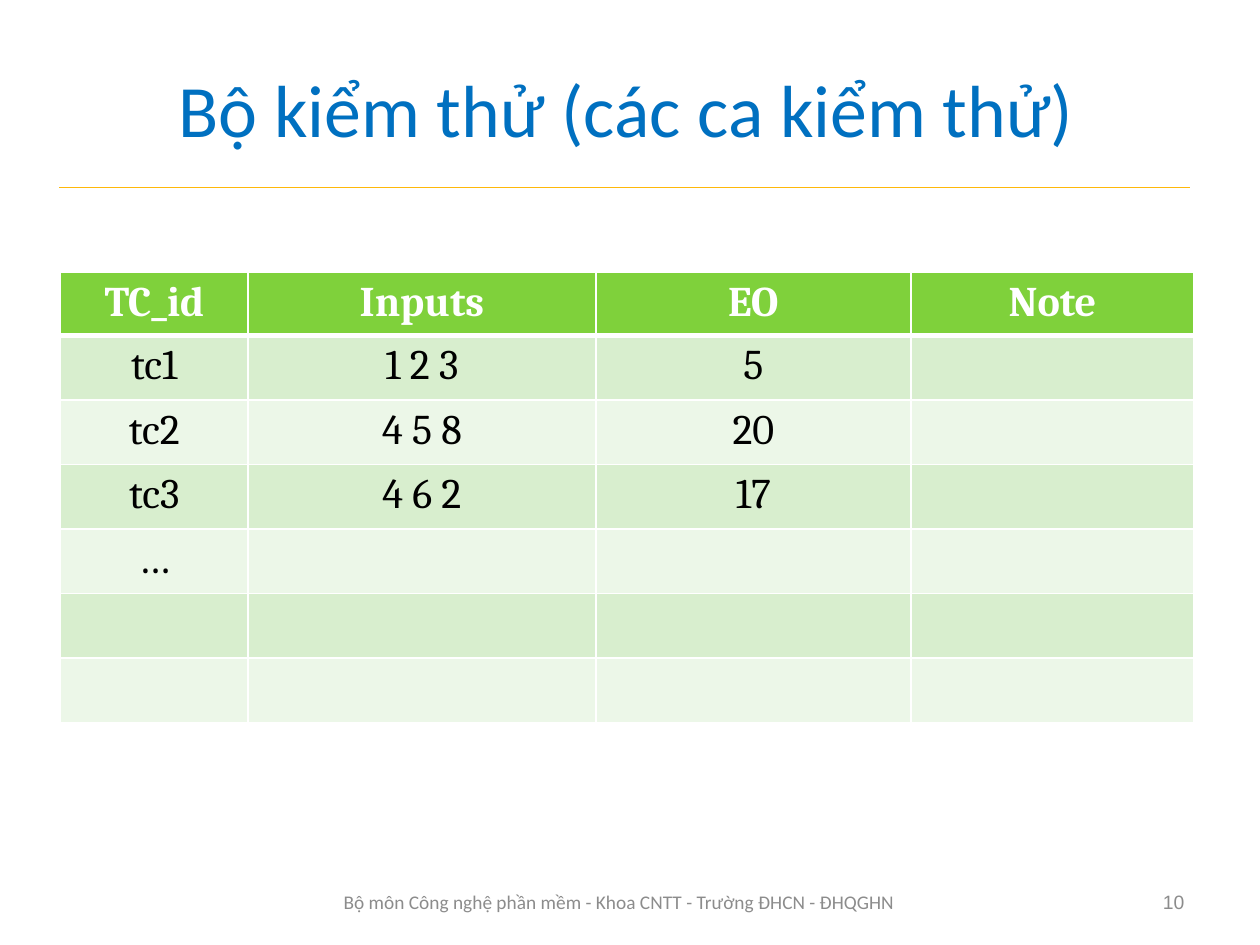
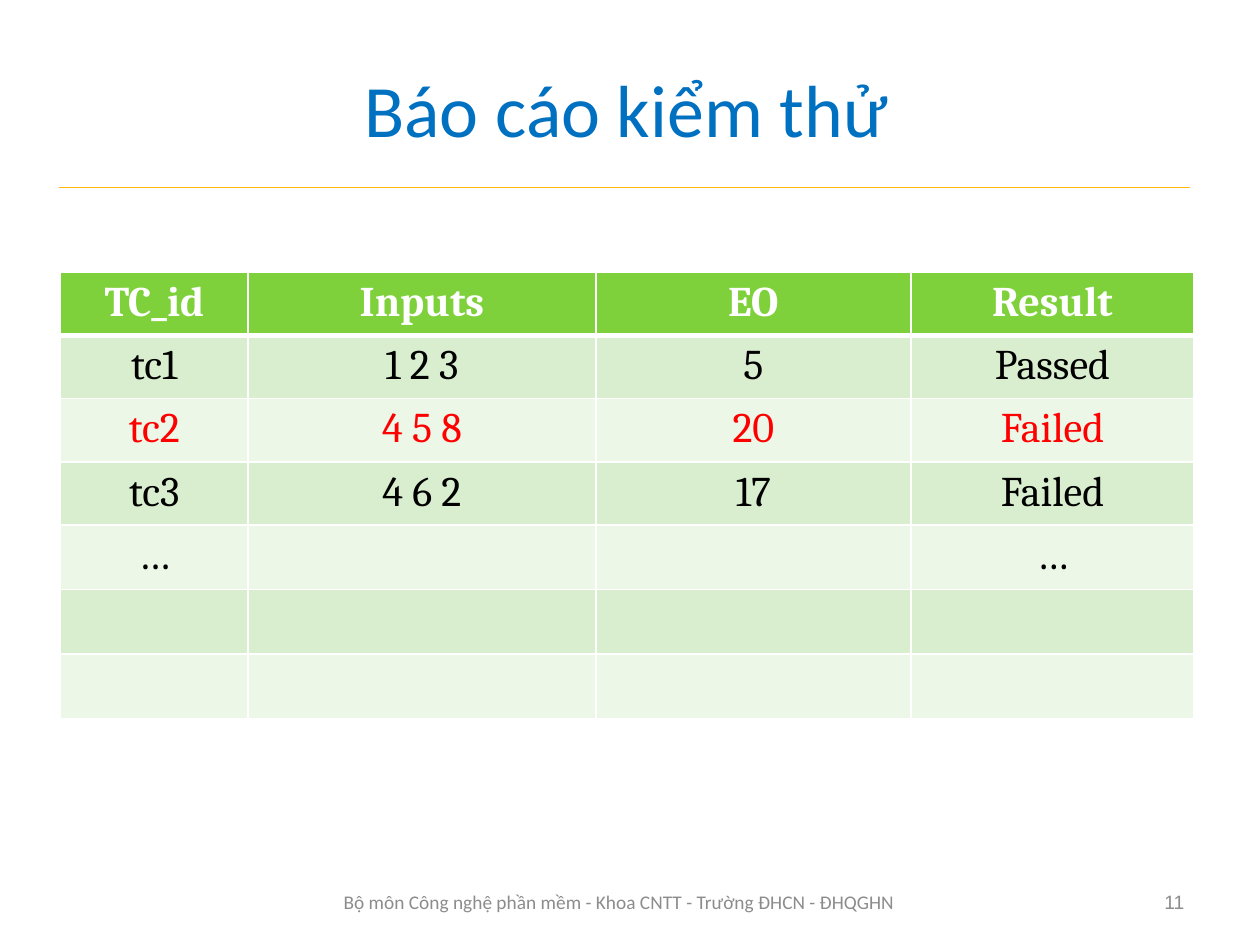
from dataclasses import dataclass

from lxml.etree import SubElement
from pptx import Presentation
from pptx.dml.color import RGBColor
from pptx.enum.shapes import MSO_CONNECTOR
from pptx.enum.text import MSO_ANCHOR, PP_ALIGN
from pptx.oxml import parse_xml
from pptx.oxml.ns import nsdecls, qn
from pptx.util import Inches, Pt


@dataclass(frozen=True)
class Theme:
    """Colours, fonts and sizes shared by every slide."""
    title: str = "0070C0"
    rule: str = "FEB80A"
    header: str = "7FD13B"
    bands: tuple = ("D8EECE", "ECF7E8")
    white: str = "FFFFFF"
    body: str = "000000"
    alert: str = "FF0000"
    footer: str = "8C8C8C"
    heading_font: str = "Calibri"
    table_font: str = "Cambria"
    number_font: str = "Arial"
    title_size: float = 42
    table_size: float = 24
    footer_size: float = 11
    border: float = 1
    header_border: float = 3


theme = Theme()
WIDTH, HEIGHT = 9.96, 7.47
MARGIN, CONTENT = 0.47, 8.96
TITLE_TOP, RULE_TOP = 0.23, 1.48
TABLE_LEFT, TABLE_TOP = 0.48, 2.15
FOOTER_TOP, FOOTER_HEIGHT = 6.93, 0.4
COLUMNS = (1.48, 2.75, 2.49, 2.24)
HEADER_ROW, TEXT_ROW, TALL_ROW = 0.47, 0.48, 0.51
FOOTER = "Bộ môn Công nghệ phần mềm - Khoa CNTT - Trường ĐHCN - ĐHQGHN"


def write(frame, text, font, size, color, align=PP_ALIGN.CENTER, bold=False):
    """Put one aligned, styled run in the first paragraph of a frame."""
    para = frame.paragraphs[0]
    para.alignment = align
    span = para.add_run()
    span.text = text
    span.font.name = font
    span.font.size = Pt(size)
    span.font.bold = bold
    span.font.color.rgb = RGBColor.from_string(color)


def set_borders(cell, top, bottom):
    """Give a cell white borders, with its own top and bottom widths."""
    properties = cell._tc.get_or_add_tcPr()
    widths = {"lnL": theme.border, "lnR": theme.border, "lnT": top, "lnB": bottom}
    for position, (side, width) in enumerate(widths.items()):
        edge = parse_xml(
            f'<a:{side} {nsdecls("a")} w="{Pt(width)}"><a:solidFill>'
            f'<a:srgbClr val="{theme.white}"/></a:solidFill></a:{side}>')
        properties.insert(position, edge)


case_rows = [("tc1", "1 2 3", "5"), ("tc2", "4 5 8", "20"), ("tc3", "4 6 2", "17"),
             ("…", "", ""), ("", "", ""), ("", "", "")]

# title, page number, last column, alert rows, heights of the body rows
slides = [
    ("Bộ kiểm thử (các ca kiểm thử)", "10", ("Note", "", "", "", "", "", ""),
     (), [TALL_ROW] * 6),
    ("Báo cáo kiểm thử", "11", ("Result", "Passed", "Failed", "Failed", "…", "", ""),
     (2,), [TEXT_ROW] * 3 + [TALL_ROW] * 3),
]

deck = Presentation()
deck.slide_width, deck.slide_height = Inches(WIDTH), Inches(HEIGHT)

for title, number, last_column, alert_rows, body_heights in slides:
    page = deck.slides.add_slide(deck.slide_layouts[6])

    rule = page.shapes.add_connector(
        MSO_CONNECTOR.STRAIGHT, Inches(MARGIN), Inches(RULE_TOP),
        Inches(WIDTH - MARGIN - 0.08), Inches(RULE_TOP))
    rule.line.color.rgb = RGBColor.from_string(theme.rule)
    rule.line.width = Pt(0.75)
    SubElement(rule._element.spPr, qn("a:effectLst"))

    labels = [
        (title, MARGIN, TITLE_TOP, CONTENT, RULE_TOP - TITLE_TOP,
         theme.heading_font, theme.title_size, theme.title, PP_ALIGN.CENTER),
        (FOOTER, 2.48, FOOTER_TOP, 4.83, FOOTER_HEIGHT,
         theme.heading_font, theme.footer_size, theme.footer, PP_ALIGN.CENTER),
        (number, 7.14, FOOTER_TOP, 2.32, FOOTER_HEIGHT,
         theme.number_font, theme.footer_size, theme.footer, PP_ALIGN.RIGHT),
    ]
    for text, left, top, width, height, font, size, color, align in labels:
        box = page.shapes.add_textbox(
            Inches(left), Inches(top), Inches(width), Inches(height))
        box.text_frame.word_wrap = True
        box.text_frame.vertical_anchor = MSO_ANCHOR.MIDDLE
        write(box.text_frame, text, font, size, color, align)

    first_columns = [("TC_id", "Inputs", "EO")] + case_rows
    heights = [HEADER_ROW] + body_heights
    table = page.shapes.add_table(
        len(heights), len(COLUMNS), Inches(TABLE_LEFT), Inches(TABLE_TOP),
        Inches(sum(COLUMNS)), Inches(sum(heights))).table
    for column, width in zip(table.columns, COLUMNS):
        column.width = Inches(width)

    for row, height in enumerate(heights):
        table.rows[row].height = Inches(height)
        is_header = row == 0
        fill = theme.header if is_header else theme.bands[(row - 1) % 2]
        color = (theme.white if is_header
                 else theme.alert if row in alert_rows else theme.body)
        top = theme.header_border if row == 1 else theme.border
        bottom = theme.header_border if is_header else theme.border
        for column, text in enumerate((*first_columns[row], last_column[row])):
            cell = table.cell(row, column)
            cell.fill.solid()
            cell.fill.fore_color.rgb = RGBColor.from_string(fill)
            set_borders(cell, top, bottom)
            if text:
                write(cell.text_frame, text, theme.table_font, theme.table_size,
                      color, bold=is_header)

deck.save("out.pptx")
